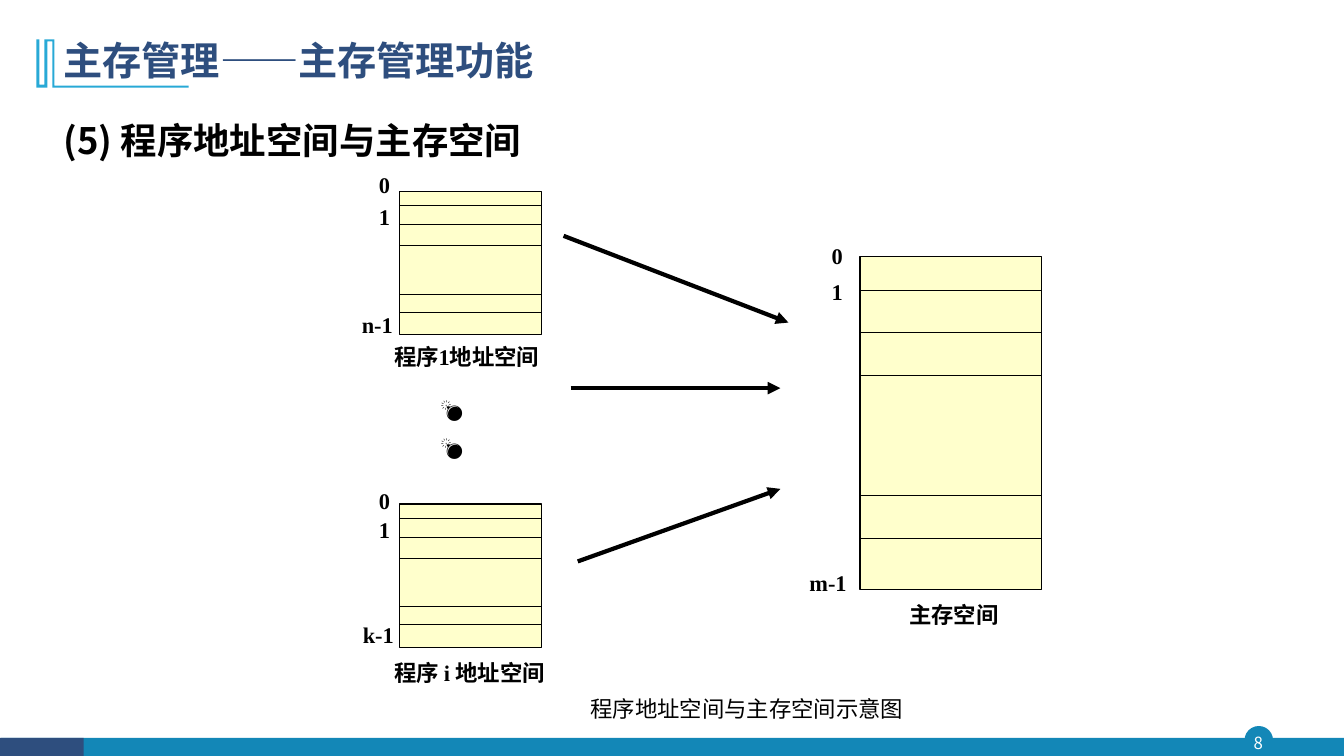
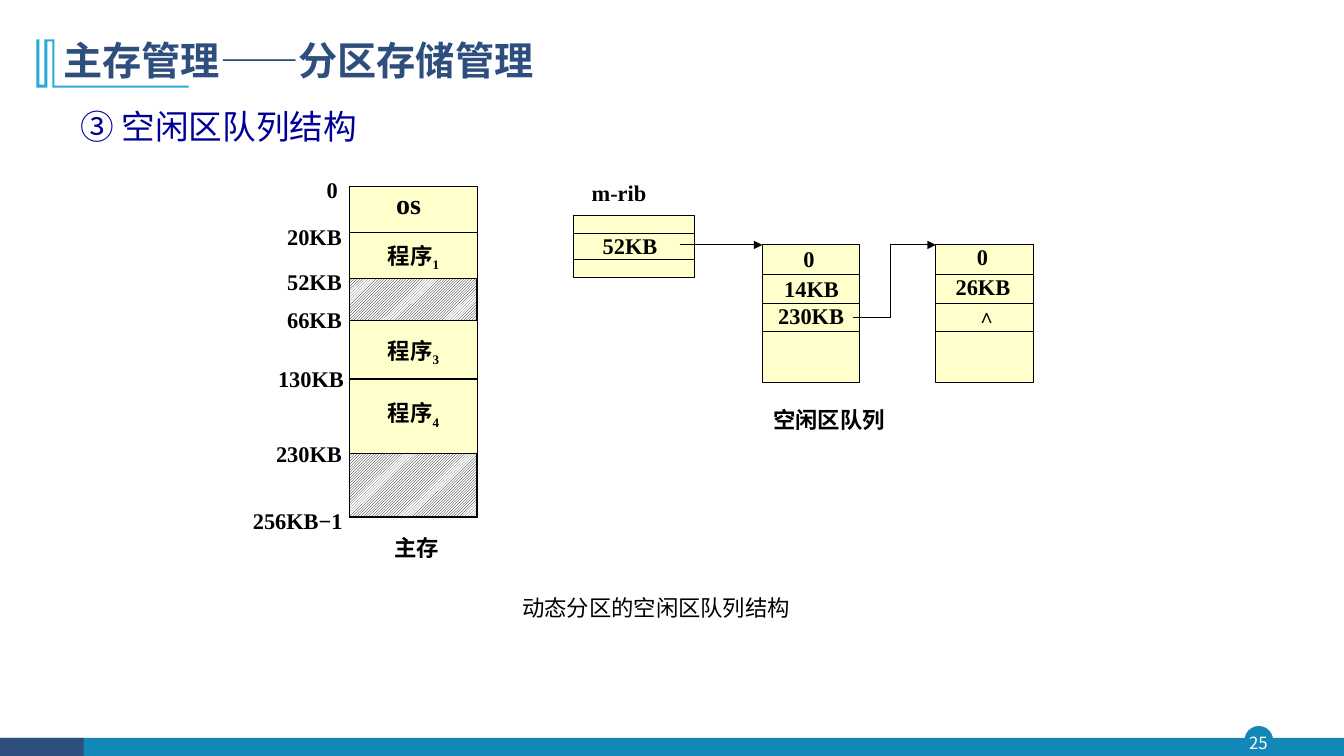
"""Build two slides on main memory management: address spaces and the free partition queue."""
from dataclasses import dataclass
from itertools import pairwise

from pptx import Presentation
from pptx.dml.color import RGBColor
from pptx.enum.dml import MSO_PATTERN
from pptx.enum.shapes import MSO_CONNECTOR, MSO_SHAPE
from pptx.enum.text import MSO_ANCHOR, PP_ALIGN
from pptx.oxml.ns import qn
from pptx.oxml.xmlchemy import OxmlElement
from pptx.shapes.autoshape import Shape
from pptx.slide import Slide
from pptx.text.text import TextFrame
from pptx.util import Inches, Pt

RECTANGLE, OVAL = MSO_SHAPE.RECTANGLE, MSO_SHAPE.OVAL
STRAIGHT = MSO_CONNECTOR.STRAIGHT
HATCH = MSO_PATTERN.LIGHT_UPWARD_DIAGONAL
TOP, MIDDLE = MSO_ANCHOR.TOP, MSO_ANCHOR.MIDDLE
LEFT, CENTER = PP_ALIGN.LEFT, PP_ALIGN.CENTER

COLORS = {
    "black": "000000",
    "white": "FFFFFF",
    "cell": "FFFFCC",
    "band": "1387B7",
    "navy": "2E4E7E",
    "cyan": "28A9D6",
    "heading": "000099",
}
SERIF, SANS = "Times New Roman", "Noto Sans CJK SC"
TITLE_MARK = [
    (0.54, 0.39), (0.54, 0.85), (1.87, 0.85), (1.87, 0.87), (0.52, 0.87), (0.52, 0.41),
    (0.47, 0.41), (0.47, 0.87), (0.36, 0.87), (0.36, 0.39), (0.39, 0.39), (0.39, 0.84),
    (0.44, 0.84), (0.44, 0.39),
]


@dataclass(frozen=True)
class Label:
    """A text with its box, in inches."""
    text: str
    left: float
    top: float
    width: float = 1.0
    height: float = 0.37


@dataclass(frozen=True)
class Block:
    """A memory block cut by lines at offsets from its top, in inches."""
    left: float
    top: float
    width: float
    height: float
    dividers: tuple[float, ...]


def rgb(name: str) -> RGBColor:
    return RGBColor.from_string(COLORS[name])


def write_text(frame: TextFrame, text: str, *, size: float = 16, bold: bool = True,
               color: str = "black", font: str = SERIF, align: PP_ALIGN = LEFT,
               anchor: MSO_ANCHOR = TOP, line_spacing: float = 1.0,
               space_before: float = 0, margin: float | None = None,
               subscript: str = "") -> None:
    frame.text = text
    frame.word_wrap = True
    frame.vertical_anchor = anchor
    if margin is not None:
        frame.margin_left = frame.margin_right = Inches(margin)
        frame.margin_top = frame.margin_bottom = Inches(margin)
    if subscript:
        frame.paragraphs[-1].add_run().text = subscript
    for para in frame.paragraphs:
        para.alignment = align
        para.line_spacing = line_spacing
        para.space_before = Pt(space_before)
        for span in para.runs:
            span.font.size, span.font.bold, span.font.name = Pt(size), bold, font
            span.font.color.rgb = rgb(color)
            properties = span.font._element
            east_asian = OxmlElement("a:ea")
            east_asian.set("typeface", SANS)
            properties.find(qn("a:latin")).addnext(east_asian)
    if subscript:
        frame.paragraphs[-1].runs[-1].font._element.set("baseline", "-25000")


def add_label(page: Slide, label: Label, **text_format) -> None:
    box = page.shapes.add_textbox(Inches(label.left), Inches(label.top),
                                  Inches(label.width), Inches(label.height))
    write_text(box.text_frame, label.text, **text_format)


def paint(shape: Shape, fill: str, line: str | None = None, weight: float = 0.75) -> None:
    shape.shadow.inherit = False
    shape.fill.solid()
    shape.fill.fore_color.rgb = rgb(fill)
    if line:
        shape.line.color.rgb = rgb(line)
        shape.line.width = Pt(weight)
    else:
        shape.line.fill.background()


def add_box(page: Slide, left: float, top: float, width: float, height: float, *,
            kind: MSO_SHAPE = RECTANGLE, fill: str = "cell", line: str | None = "black",
            weight: float = 0.75) -> Shape:
    box = page.shapes.add_shape(kind, Inches(left), Inches(top), Inches(width), Inches(height))
    paint(box, fill, line, weight)
    return box


def add_hatched_box(page: Slide, left: float, top: float, width: float, height: float) -> None:
    box = add_box(page, left, top, width, height)
    box.fill.patterned()
    box.fill.pattern = HATCH
    box.fill.fore_color.rgb = rgb("black")
    box.fill.back_color.rgb = rgb("white")


def add_line(page: Slide, start: tuple[float, float], end: tuple[float, float], *,
             weight: float = 0.75, arrow: bool = False) -> None:
    line = page.shapes.add_connector(STRAIGHT, *map(Inches, start), *map(Inches, end))
    line.line.color.rgb = rgb("black")
    line.line.width = Pt(weight)
    properties = line._element.spPr
    properties.append(OxmlElement("a:effectLst"))
    if arrow:
        head = OxmlElement("a:tailEnd")
        head.set("type", "triangle")
        properties.find(qn("a:ln")).append(head)


def add_block(page: Slide, block: Block) -> None:
    add_box(page, block.left, block.top, block.width, block.height)
    for offset in block.dividers:
        height = block.top + offset
        add_line(page, (block.left, height), (block.left + block.width, height))


def add_page(deck: Presentation, title: str, number: int) -> Slide:
    page = deck.slides.add_slide(deck.slide_layouts[5])
    add_box(page, 12.35, 7.21, 0.27, 0.27, kind=OVAL, fill="band", line="band", weight=1)
    add_box(page, 0.01, 7.32, 13.32, 0.19, fill="band", line=None)
    add_box(page, 0, 7.32, 0.83, 0.19, fill="navy", line=None)
    add_label(page, Label(str(number), 12.32, 7.21, 0.32, 0.31), size=12, bold=False,
              color="white", font=SANS, align=CENTER, anchor=MIDDLE, margin=0)
    corners = [(Inches(x), Inches(y)) for x, y in TITLE_MARK]
    builder = page.shapes.build_freeform(*corners[0])
    builder.add_line_segments(corners[1:], close=True)
    paint(builder.convert_to_shape(), "cyan")
    page.shapes[-1].line.fill.background()
    heading = page.shapes.title
    heading.left, heading.top = Inches(0.53), Inches(0.34)
    heading.width, heading.height = Inches(10.49), Inches(0.56)
    write_text(heading.text_frame, title, size=28, color="navy", font=SANS,
               anchor=MIDDLE, line_spacing=0.9)
    return page


def build_address_spaces(deck: Presentation) -> None:
    page = add_page(deck, "主存管理——主存管理功能", 8)
    add_label(page, Label("(5) 程序地址空间与主存空间", 0.53, 0.91, 7.08, 0.68),
              size=26, font=SANS, line_spacing=1.5)
    add_block(page, Block(8.53, 2.54, 1.8, 3.31, (0.34, 0.76, 1.19, 2.38, 2.8)))
    for top in (1.9, 5):
        add_block(page, Block(3.96, top, 1.41, 1.42, (0.14, 0.33, 0.54, 1.02, 1.2)))
    for label in (
        Label("主存空间", 8.92, 5.91, 1.2),
        Label("0", 8.15, 2.35, 0.38),
        Label("1", 8.15, 2.71, 0.38),
        Label("m-1", 7.93, 5.6, 0.9),
        Label("程序1地址空间", 3.81, 3.36, 1.67),
        Label("0", 3.66, 1.65, 0.29),
        Label("1", 3.66, 1.97, 0.29),
        Label("n-1", 3.49, 3.04, 0.7),
        Label("程序 i 地址空间", 3.81, 6.49, 1.77),
        Label("0", 3.66, 4.78, 0.29),
        Label("1", 3.66, 5.07, 0.29),
        Label("k-1", 3.5, 6.11, 0.7),
    ):
        add_label(page, label)
    add_label(page, Label("💣\n💣", 4.27, 3.87, 0.89, 0.77), bold=False, font=SANS,
              space_before=8)
    for start, end in (((5.59, 2.34), (7.82, 3.2)), ((5.66, 3.85), (7.74, 3.85)),
                       ((5.73, 5.57), (7.74, 4.85))):
        add_line(page, start, end, weight=3, arrow=True)
    add_label(page, Label("程序地址空间与主存空间示意图", 5.76, 6.85, 3.96), bold=False)


def build_free_queue(deck: Presentation) -> None:
    page = add_page(deck, "主存管理——分区存储管理", 25)
    add_label(page, Label("③ 空闲区队列结构", 0.7, 0.92, 4.58, 0.58),
              size=24, bold=False, color="heading", line_spacing=1.2)
    add_block(page, Block(3.47, 1.85, 1.27, 3.28, (0.46, 0.91, 1.29, 1.91)))
    add_hatched_box(page, 3.47, 2.76, 1.26, 0.42)
    add_box(page, 3.47, 3.18, 1.27, 0.58)
    add_hatched_box(page, 3.47, 4.5, 1.26, 0.62)
    add_block(page, Block(5.69, 2.14, 1.2, 0.61, (0.18, 0.43)))
    for left in (7.56, 9.28):
        add_block(page, Block(left, 2.43, 0.97, 1.37, (0.29, 0.58, 0.86)))
    add_line(page, (6.74, 2.43), (7.56, 2.43), arrow=True)
    corners = [(8.46, 3.15), (8.83, 3.15), (8.83, 2.43), (9.28, 2.43)]
    for start, end in pairwise(corners):
        add_line(page, start, end, arrow=end == corners[-1])
    for label in (
        Label("0", 3.14, 1.7, 0.42),
        Label("20KB", 2.75, 2.16),
        Label("52KB", 2.75, 2.61),
        Label("66KB", 2.75, 2.99),
        Label("130KB", 2.66, 3.57),
        Label("230KB", 2.64, 4.32),
        Label("256KB−1", 2.41, 4.98, 1.1),
        Label("主存", 3.81, 5.25),
        Label("52KB", 5.88, 2.25),
        Label("m-rib", 5.77, 1.73),
        Label("空闲区队列", 7.57, 3.98, 1.52),
        Label("0", 7.87, 2.38, 0.35),
        Label("14KB", 7.68, 2.68),
        Label("230KB", 7.62, 2.95),
        Label("0", 9.59, 2.36, 0.35),
        Label("26KB", 9.38, 2.66),
    ):
        add_label(page, label)
    add_label(page, Label("os", 3.83, 1.87, 0.59, 0.41), size=20, line_spacing=0.8)
    for number, top in (("1", 2.38), ("3", 3.32), ("4", 3.94)):
        add_label(page, Label("程序", 3.75, top, 0.87), line_spacing=0.8, subscript=number)
    add_label(page, Label("∧", 9.59, 2.97, 0.35), size=14, font="Arial")
    add_label(page, Label("动态分区的空闲区队列结构", 5.08, 5.85, 3.41), bold=False)


def main() -> None:
    deck = Presentation()
    deck.slide_width, deck.slide_height = Inches(13.33), Inches(7.5)
    build_address_spaces(deck)
    build_free_queue(deck)
    deck.save("out.pptx")


if __name__ == "__main__":
    main()
